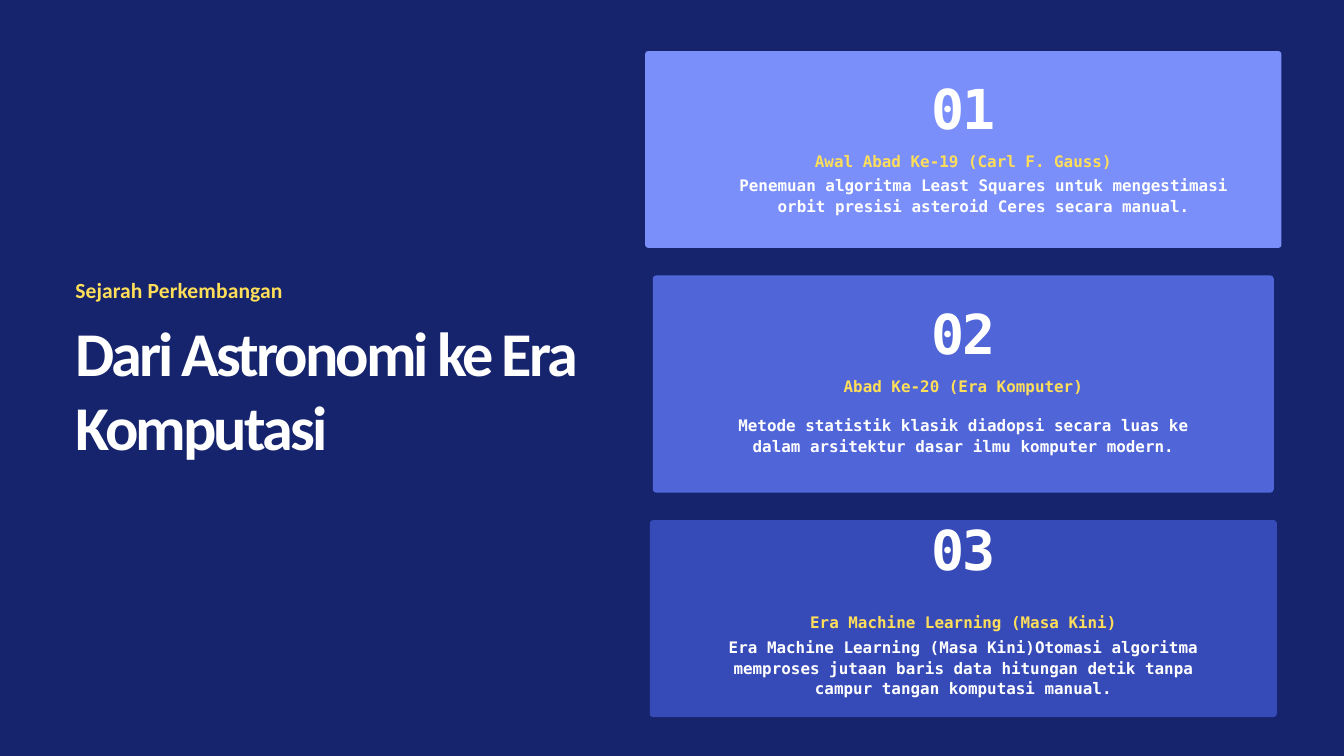
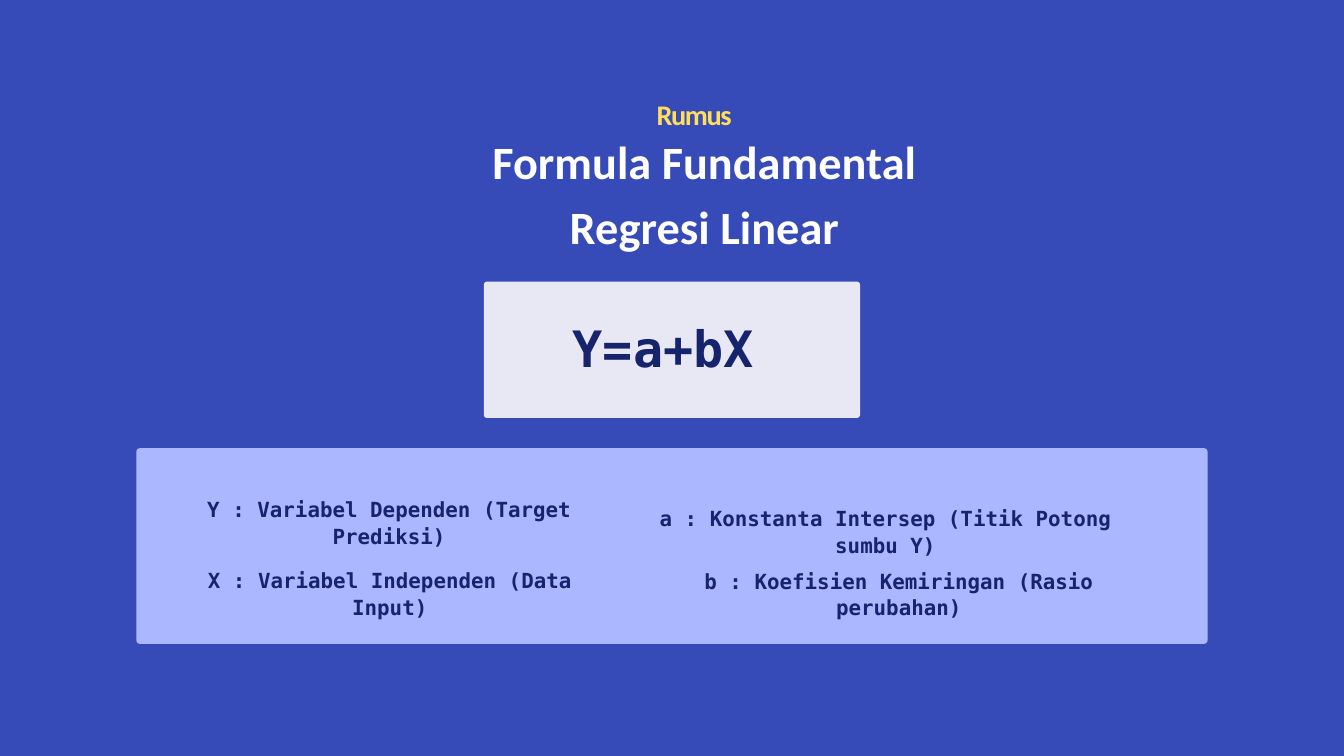
from pptx import Presentation
from pptx.dml.color import RGBColor
from pptx.enum.shapes import MSO_SHAPE
from pptx.enum.text import MSO_ANCHOR, MSO_AUTO_SIZE, PP_ALIGN
from pptx.util import Inches, Pt

COLORS = {
    "navy": "16246D",
    "royal": "374BB8",
    "blue": "5065D8",
    "periwinkle": "7A8FFA",
    "lavender": "ABB8FF",
    "mist": "E8E7F4",
    "yellow": "FFDE59",
    "white": "FFFFFF",
}
SANS = "Calibri"
MONO = "DejaVu Sans Mono"
TITLE_ONLY = 5
CORNER = 0.05

# Format of each kind of text: size, line pitch, and what differs from the default
NUMBER = {"size": 58.9, "line": 54.2, "spacing": -2.4}
DETAIL = {"size": 17, "line": 21.9}
VARIABLE = {"size": 22.3, "line": 28.7, "color": "navy"}


def color(name):
    return RGBColor.from_string(COLORS[name])


def write_text(shape, text, *, size, line, font=MONO, color_name="white",
               align=PP_ALIGN.CENTER, spacing=0):
    frame = shape.text_frame
    frame.word_wrap = True
    frame.auto_size = MSO_AUTO_SIZE.SHAPE_TO_FIT_TEXT
    frame.vertical_anchor = MSO_ANCHOR.TOP
    frame.margin_left = frame.margin_right = 0
    frame.margin_top = frame.margin_bottom = 0
    paragraph = frame.paragraphs[0]
    paragraph.alignment = align
    paragraph.line_spacing = Pt(line)
    run = paragraph.add_run()
    run.text = text
    run.font.name = font
    run.font.size = Pt(size)
    run.font.bold = True
    run.font.color.rgb = color(color_name)
    if spacing:
        run._r.get_or_add_rPr().set("spc", str(round(spacing * 100)))


class Deck:
    """Holds the presentation, the current slide and the group being filled."""

    def __init__(self):
        self.presentation = Presentation()
        self.presentation.slide_width = Inches(20)
        self.presentation.slide_height = Inches(11.25)
        self.slide = None
        self.shapes = None

    def add_slide(self, background):
        layout = self.presentation.slide_layouts[TITLE_ONLY]
        self.slide = self.presentation.slides.add_slide(layout)
        self.shapes = self.slide.shapes
        fill = self.slide.background.fill
        fill.solid()
        fill.fore_color.rgb = color(background)

    def start_group(self):
        self.shapes = self.slide.shapes.add_group_shape().shapes

    def title(self, text, left, top, width, height, **style):
        shape = self.slide.shapes.title
        shape.left, shape.top = Inches(left), Inches(top)
        shape.width, shape.height = Inches(width), Inches(height)
        write_text(shape, text, font=SANS, **style)

    def text(self, text, left, top, width, height, color="white", **style):
        box = self.shapes.add_textbox(
            Inches(left), Inches(top), Inches(width), Inches(height))
        write_text(box, text, color_name=color, **style)

    def panel(self, left, top, width, height, fill):
        """Start a group with a slightly rounded panel behind its texts."""
        self.start_group()
        shape = self.shapes.add_shape(
            MSO_SHAPE.ROUNDED_RECTANGLE,
            Inches(left), Inches(top), Inches(width), Inches(height))
        shape.adjustments[0] = CORNER / min(width, height)
        shape.shadow.inherit = False
        shape.fill.solid()
        shape.fill.fore_color.rgb = color(fill)
        shape.line.fill.background()

    def era_card(self, number, era, description, *, top, width, height, fill,
                 tops, shift=0, lines=2):
        center = 14.335
        number_width = 0.626 * width
        text_width = 0.793 * width
        text_left = center - text_width / 2
        number_top, era_top, description_top = tops
        self.panel(center - width / 2, top, width, height, fill)
        self.text(number, center - number_width / 2, number_top,
                  number_width, 0.93, **NUMBER)
        self.text(era, text_left, era_top, text_width, 0.32,
                  color="yellow", **DETAIL)
        self.text(description, text_left + shift, description_top,
                  text_width, 0.31 * lines, **DETAIL)


def add_history_slide(deck):
    deck.add_slide("navy")
    deck.title("Dari Astronomi ke Era Komputasi", 1.12, 4.7, 7.95, 3.26,
               size=66.7, line=78.8, spacing=-3.2, align=PP_ALIGN.LEFT)
    deck.text("Sejarah Perkembangan", 1.12, 4.06, 3.92, 0.42, color="yellow",
              font=SANS, size=23.1, line=32.3, spacing=0.1,
              align=PP_ALIGN.LEFT)
    deck.era_card(
        "01", "Awal Abad Ke-19 (Carl F. Gauss)",
        "Penemuan algoritma Least Squares untuk mengestimasi orbit presisi "
        "asteroid Ceres secara manual.",
        top=0.76, width=9.47, height=2.93, fill="periwinkle",
        tops=(1.34, 2.23, 2.6), shift=0.3)
    deck.era_card(
        "02", "Abad Ke-20 (Era Komputer)",
        "Metode statistik klasik diadopsi secara luas ke dalam arsitektur "
        "dasar ilmu komputer modern.",
        top=4.1, width=9.24, height=3.23, fill="blue",
        tops=(4.68, 5.58, 6.17))
    deck.era_card(
        "03", "Era Machine Learning (Masa Kini)",
        "Era Machine Learning (Masa Kini)Otomasi algoritma memproses jutaan "
        "baris data hitungan detik tanpa campur tangan komputasi manual.",
        top=7.74, width=9.33, height=2.93, fill="royal",
        tops=(7.9, 9.1, 9.47), lines=3)


def add_formula_slide(deck):
    deck.add_slide("royal")
    deck.title("Formula Fundamental Regresi Linear", 6.65, 1.85, 7.67, 1.88,
               size=49.6, line=69.5, spacing=0.1)
    deck.text("Rumus", 7.21, 1.47, 6.24, 0.48, color="yellow",
              font=SANS, size=30.4, line=34.7, spacing=-1.5)

    deck.panel(7.2, 4.19, 5.6, 2.03, "mist")
    deck.text("Y=a+bX", 8.02, 4.65, 3.7, 1.01, color="navy",
              size=53.7, line=69.3)

    deck.panel(2.03, 6.67, 15.94, 2.91, "lavender")
    variables = [
        ("Y : Variabel Dependen (Target Prediksi)", 2.77, 7.37, 6.04),
        ("X : Variabel Independen (Data Input)", 2.78, 8.42, 6.04),
        ("a : Konstanta Intersep (Titik Potong sumbu Y)", 9.64, 7.5, 7.07),
        ("b : Koefisien Kemiringan (Rasio perubahan)", 9.84, 8.43, 7.07),
    ]
    for meaning, left, top, width in variables:
        deck.text(meaning, left, top, width, 0.41, **VARIABLE)


def main():
    deck = Deck()
    add_history_slide(deck)
    add_formula_slide(deck)
    deck.presentation.save("out.pptx")


if __name__ == "__main__":
    main()
